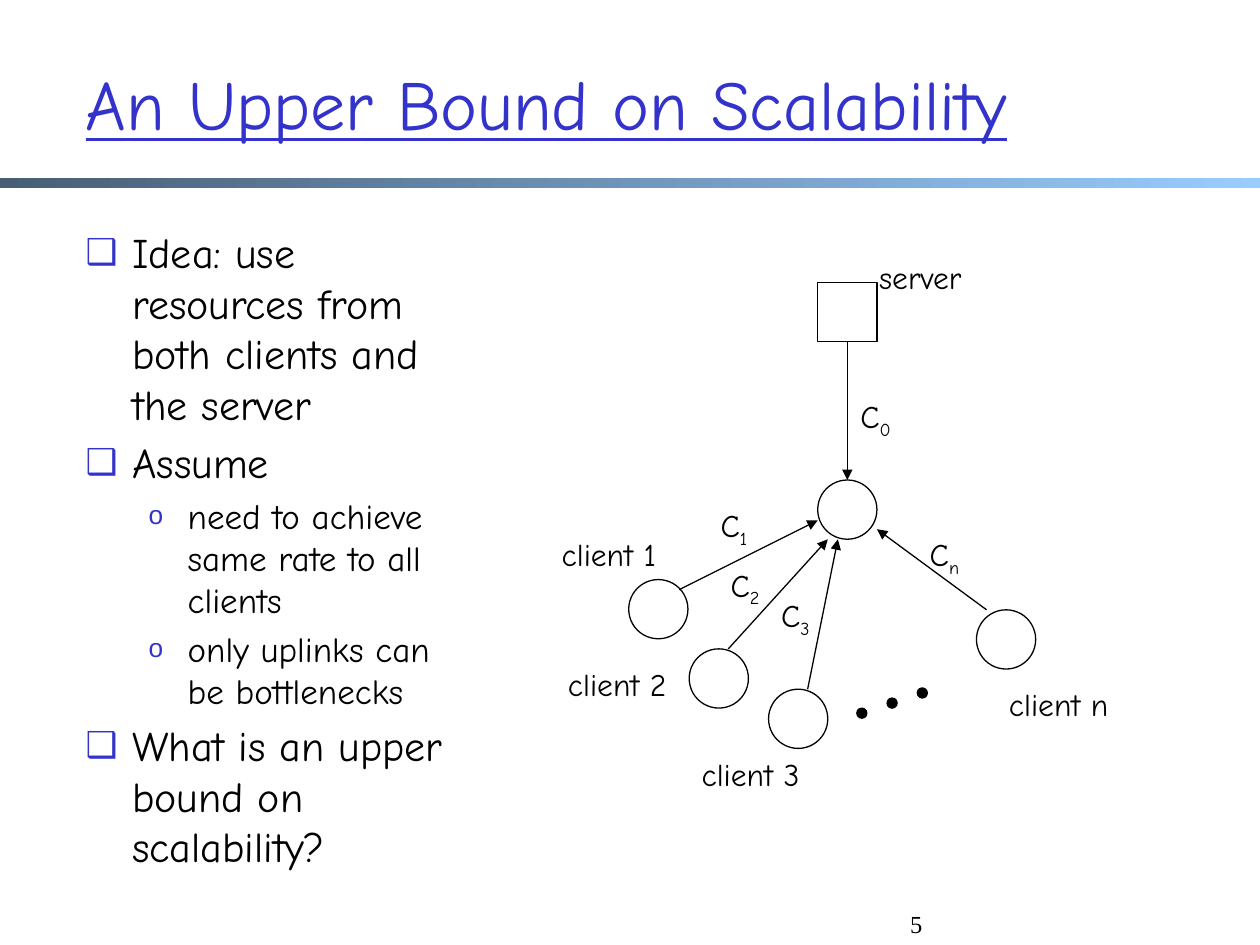
from lxml import etree
from pptx import Presentation
from pptx.dml.color import RGBColor
from pptx.enum import shapes, text
from pptx.oxml.ns import qn
from pptx.util import Inches, Pt

INK, BLUE = "000000", "3333CC"
FONT = "Comic Neue"
SHAPE = shapes.MSO_SHAPE
NODE = 0.47


def color(code):
    return RGBColor.from_string(code)


def box(*sizes):
    return [Inches(size) for size in sizes]


def add(parent, tag, **attrs):
    return etree.SubElement(parent, qn(tag), **attrs)


class Deck:
    def __init__(self):
        self.prs = Presentation()
        self.prs.slide_width, self.prs.slide_height = box(10, 7.5)
        self.slide = self.prs.slides.add_slide(self.prs.slide_layouts[1])

    def style(self, para, size, code=INK, font=FONT):
        for run in para.runs:
            run.font.size, run.font.name = Pt(size), font
            run.font.color.rgb = color(code)

    def place(self, holder, *area):
        holder.left, holder.top, holder.width, holder.height = box(*area)
        frame = holder.text_frame
        frame.auto_size, frame.word_wrap = text.MSO_AUTO_SIZE.NONE, True
        return frame

    def title(self, words, *area):
        frame = self.place(self.slide.shapes.title, *area)
        frame.text = words
        frame.vertical_anchor = text.MSO_ANCHOR.MIDDLE
        para = frame.paragraphs[0]
        para.alignment = text.PP_ALIGN.LEFT
        self.style(para, 40, BLUE)
        para.runs[0].font.underline = True

    def bullet(self, para, sign, part, left, hang):
        props = para._p.get_or_add_pPr()
        props.set("marL", str(Inches(left)))
        props.set("indent", str(-Inches(hang)))
        add(add(props, "a:buClr"), "a:srgbClr", val=BLUE)
        add(props, "a:buSzPct", val=str(part * 1000))
        add(props, "a:buChar", char=sign)

    def list(self, items, *area):
        frame = self.place(self.slide.placeholders[1], *area)
        frame.text = "\n".join(words for _, words in items)
        looks = [(24, ("❑", 85, 0.37, 0.37)), (20, ("o", 75, 0.81, 0.31))]
        for i, (para, (level, _)) in enumerate(zip(frame.paragraphs, items)):
            size, mark = looks[level]
            para.level = level
            self.bullet(para, *mark)
            para.space_before = Pt(size * 0.2 if i else 0)
            self.style(para, size)

    def bar(self, *area):
        bar = self.slide.shapes.add_shape(SHAPE.RECTANGLE, *box(*area))
        bar.shadow.inherit = False
        bar.line.fill.background()
        bar.fill.gradient()
        bar.fill.gradient_angle = 0
        for stop, code in zip(bar.fill.gradient_stops, ("475E76", "99CCFF")):
            stop.color.rgb = color(code)

    def node(self, left, top, kind=SHAPE.OVAL, size=NODE, fill=None):
        node = self.slide.shapes.add_shape(kind, *box(left, top, size, size))
        node.shadow.inherit = False
        if fill:
            node.fill.solid()
            node.fill.fore_color.rgb = color(fill)
        else:
            node.fill.background()
        node.line.color.rgb, node.line.width = color(INK), Pt(0.75)
        return node

    def arrow(self, start, end):
        line = self.slide.shapes.add_connector(
            shapes.MSO_CONNECTOR.STRAIGHT, *box(*start, *end))
        line.line.color.rgb, line.line.width = color(INK), Pt(0.75)
        add(line.line._get_or_add_ln(), "a:tailEnd", type="triangle")
        add(line._element.spPr, "a:effectLst")
        return line

    def label(self, words, left, top, width, sub=""):
        frame = self.slide.shapes.add_textbox(
            *box(left, top, width, 0.4)).text_frame
        frame.word_wrap = True
        frame.text = words
        para = frame.paragraphs[0]
        if sub:
            run = para.add_run()
            run.text = sub
            run._r.get_or_add_rPr().set("baseline", "-25000")
        self.style(para, 18)

    def number(self, words, *area):
        frame = self.slide.shapes.add_textbox(*box(*area)).text_frame
        frame.word_wrap = True
        frame.vertical_anchor = text.MSO_ANCHOR.BOTTOM
        frame.text = words
        frame.paragraphs[0].alignment = text.PP_ALIGN.RIGHT
        self.style(frame.paragraphs[0], 14, font="Times New Roman")


def main():
    deck = Deck()
    deck.bar(0, 1.41, 10, 0.08)
    deck.title("An Upper Bound on Scalability", 0.58, 0.19, 8.5, 1.25)
    deck.list([
        (0, "Idea: use resources from both clients and the server"),
        (0, "Assume"),
        (1, "need to achieve same rate to all clients"),
        (1, "only uplinks can be bottlenecks"),
        (0, "What is an upper bound on scalability?"),
    ], 0.58, 1.75, 3.31, 5.08)
    deck.number("5", 3.09, 7, 4.33, 0.5)

    server = deck.node(6.49, 2.24, SHAPE.RECTANGLE)
    hub = deck.node(6.49, 3.81)
    down = deck.arrow((6.73, 2.71), (6.73, 3.81))
    down.begin_connect(server, 2)
    down.end_connect(hub, 0)
    deck.label("server", 6.88, 2, 1.34)
    deck.label("C", 6.73, 3.1, 0.71, "0")

    # name, node, arrow start, arrow end, name place, rate place
    clients = [
        ("1", (4.99, 4.6), (5.39, 4.68), (6.49, 4.13), (4.36, 4.2), (5.62, 3.97)),
        ("2", (5.47, 5.15), (5.78, 5.15), (6.57, 4.28), (4.41, 5.23), (5.7, 4.44)),
        ("3", (6.1, 5.47), (6.41, 5.47), (6.65, 4.28), (5.47, 5.94), (6.1, 4.68)),
        ("n", (7.75, 4.84), (7.83, 4.84), (6.96, 4.2), (7.91, 5.39), (7.28, 4.2)),
    ]
    for name, spot, start, end, tag, rate in clients:
        deck.node(*spot)
        deck.arrow(start, end)
        deck.label(f"client {name}", *tag, 1.1)
        deck.label("C", *rate, 0.71, name)

    for i in range(3):
        deck.node(6.8 + 0.24 * i, 5.62 - 0.08 * i, size=0.08, fill=INK)

    deck.prs.save("out.pptx")


if __name__ == "__main__":
    main()
